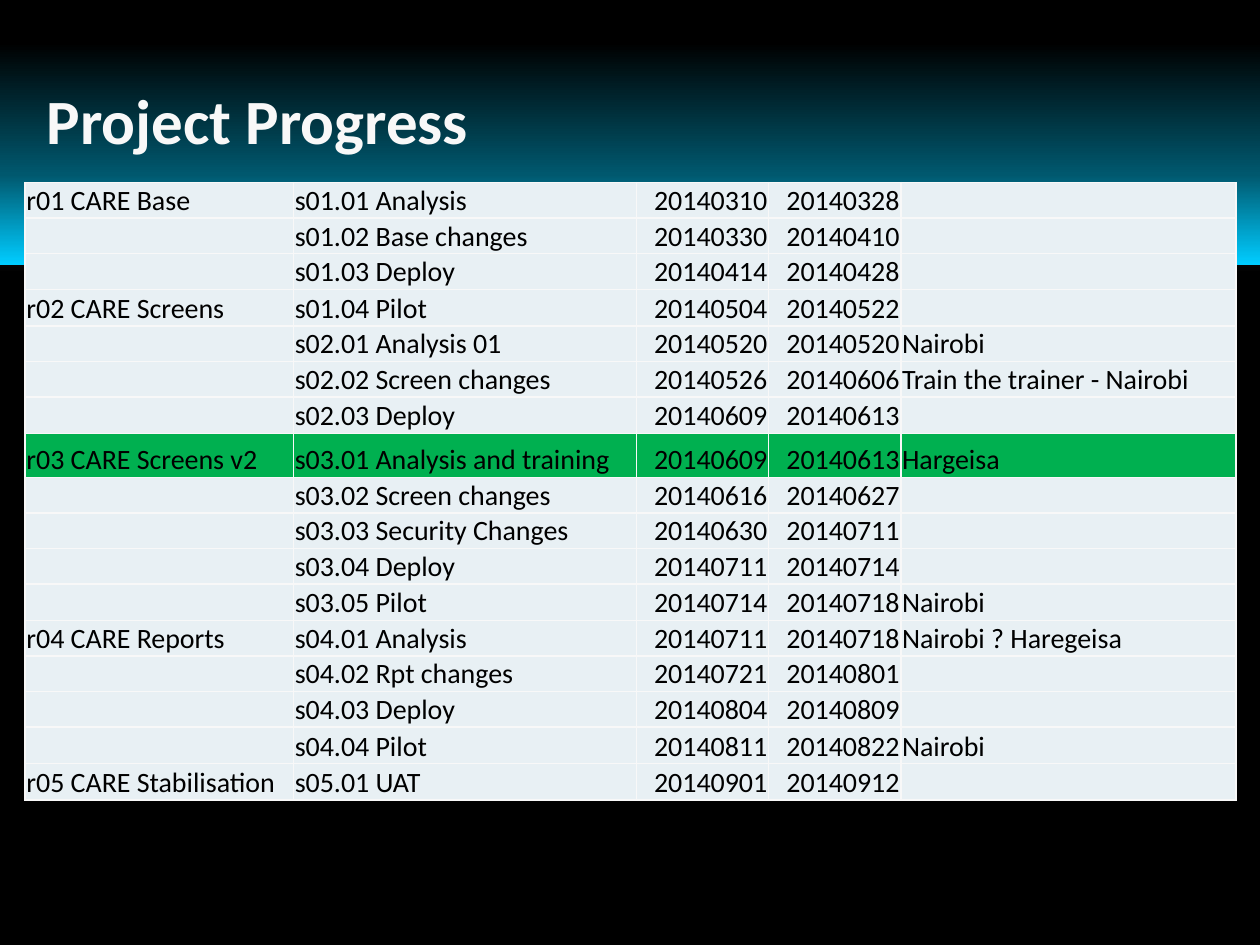
from dataclasses import dataclass

import pptx
import pptx.dml.color
import pptx.enum.shapes
import pptx.enum.text
import pptx.oxml.ns
import pptx.util
from lxml import etree

Inches = pptx.util.Inches
Pt = pptx.util.Pt
RGBColor = pptx.dml.color.RGBColor
Align = pptx.enum.text.PP_ALIGN
Anchor = pptx.enum.text.MSO_ANCHOR
qn = pptx.oxml.ns.qn


@dataclass(frozen=True)
class Theme:
    """Colours, font and type sizes of the slide."""

    font: str = "Calibri"
    light: str = "F8F8F8"
    ink: str = "000000"
    cell: str = "E8F0F4"
    current: str = "00B050"
    title_size: int = 36
    table_size: int = 16
    border_width: int = 1
    background: tuple = ((71, "000000"), (95, "848484"), (98, "AFAFAF"), (100, "DADADA"))
    band: tuple = ((16, "000000"), (66, "00586E"), (100, "00CCFF"))


THEME = Theme()
COLUMN_WIDTHS = (2.13, 2.72, 1.05, 1.05, 2.66)
DATE_COLUMNS = (2, 3)
ROW_HEIGHT, TALL_ROW, CURRENT_ROW = 0.27, 0.29, 0.35
TALL_ROWS = (3, 6, 11, 15, 16)
CURRENT_STEP = "s03.01 Analysis and training"
SCHEDULE = (
    ("r01 CARE Base", "s01.01 Analysis", "20140310", "20140328", ""),
    ("", "s01.02 Base changes", "20140330", "20140410", ""),
    ("", "s01.03 Deploy", "20140414", "20140428", ""),
    ("r02 CARE Screens", "s01.04 Pilot", "20140504", "20140522", ""),
    ("", "s02.01 Analysis 01", "20140520", "20140520", "Nairobi"),
    ("", "s02.02 Screen changes", "20140526", "20140606", "Train the trainer - Nairobi"),
    ("", "s02.03 Deploy", "20140609", "20140613", ""),
    ("r03 CARE Screens v2", CURRENT_STEP, "20140609", "20140613", "Hargeisa"),
    ("", "s03.02 Screen changes", "20140616", "20140627", ""),
    ("", "s03.03 Security Changes", "20140630", "20140711", ""),
    ("", "s03.04 Deploy", "20140711", "20140714", ""),
    ("", "s03.05 Pilot", "20140714", "20140718", "Nairobi"),
    ("r04 CARE Reports", "s04.01 Analysis", "20140711", "20140718", "Nairobi ? Haregeisa"),
    ("", "s04.02 Rpt changes", "20140721", "20140801", ""),
    ("", "s04.03 Deploy", "20140804", "20140809", ""),
    ("", "s04.04 Pilot", "20140811", "20140822", "Nairobi"),
    ("r05 CARE Stabilisation", "s05.01 UAT", "20140901", "20140912", ""),
)


def write_text(frame, text, *, size, color, bold=False, align=Align.LEFT):
    """Write one formatted paragraph, keeping the type size when it is empty."""
    paragraph = frame.paragraphs[0]
    paragraph.alignment = align
    if not text:
        ending = etree.SubElement(paragraph._p, qn("a:endParaRPr"))
        ending.set("sz", str(size * 100))
        return
    run = paragraph.add_run()
    run.text = text
    run.font.name = THEME.font
    run.font.size = Pt(size)
    run.font.bold = bold
    run.font.color.rgb = RGBColor.from_string(color)


def fill_gradient(fill, element, stops, angle):
    """Give the fill inside an element a linear gradient with any number of stops."""
    fill.gradient()
    fill.gradient_angle = angle
    stop_list = element.find(".//" + qn("a:gsLst"))
    for stop in list(stop_list):
        stop_list.remove(stop)
    for position, color in stops:
        stop = etree.SubElement(stop_list, qn("a:gs"), pos=str(position * 1000))
        etree.SubElement(stop, qn("a:srgbClr"), val=color)


def add_band(slide):
    """Add the gradient band behind everything else."""
    band = slide.shapes.add_shape(
        pptx.enum.shapes.MSO_SHAPE.RECTANGLE, 0, 0, Inches(10), Inches(2.1)
    )
    band.shadow.inherit = False
    band.line.fill.background()
    fill_gradient(band.fill, band._element, THEME.band, 270)
    slide.shapes._spTree.insert(2, band._element)


def set_title(slide, text):
    """Place and format the title placeholder."""
    title = slide.shapes.title
    title.left, title.top = Inches(0.27), Inches(0.44)
    title.width, title.height = Inches(9.45), Inches(1.01)
    title.text_frame.vertical_anchor = Anchor.MIDDLE
    write_text(title.text_frame, text, size=THEME.title_size, color=THEME.light, bold=True)


def set_borders(cell):
    """Draw the same thin line on all four sides of a cell."""
    properties = cell._tc.get_or_add_tcPr()
    for side in ("lnL", "lnR", "lnT", "lnB"):
        line = etree.SubElement(properties, qn(f"a:{side}"), w=str(Pt(THEME.border_width)))
        solid = etree.SubElement(line, qn("a:solidFill"))
        etree.SubElement(solid, qn("a:srgbClr"), val=THEME.light)


def format_cell(cell, text, fill, align):
    """Set the borders, fill, margins and text of a cell."""
    set_borders(cell)
    cell.fill.solid()
    cell.fill.fore_color.rgb = RGBColor.from_string(fill)
    cell.margin_left = cell.margin_right = cell.margin_top = Inches(0.01)
    cell.margin_bottom = 0
    cell.vertical_anchor = Anchor.BOTTOM
    write_text(cell.text_frame, text, size=THEME.table_size, color=THEME.ink, align=align)


def add_schedule(slide):
    """Add the schedule table with the current step highlighted."""
    heights = [
        CURRENT_ROW if entry[1] == CURRENT_STEP else TALL_ROW if index in TALL_ROWS else ROW_HEIGHT
        for index, entry in enumerate(SCHEDULE)
    ]
    table = slide.shapes.add_table(
        len(SCHEDULE), len(COLUMN_WIDTHS), Inches(0.2), Inches(1.45),
        Inches(sum(COLUMN_WIDTHS)), Inches(sum(heights)),
    ).table
    table.first_row = table.horz_banding = False
    for column, width in zip(table.columns, COLUMN_WIDTHS):
        column.width = Inches(width)
    for row, height, entry in zip(table.rows, heights, SCHEDULE):
        row.height = Inches(height)
        fill = THEME.current if entry[1] == CURRENT_STEP else THEME.cell
        for index, (cell, text) in enumerate(zip(row.cells, entry)):
            format_cell(cell, text, fill, Align.RIGHT if index in DATE_COLUMNS else Align.LEFT)


def main():
    """Build and save the project progress slide."""
    presentation = pptx.Presentation()
    presentation.slide_width, presentation.slide_height = Inches(10), Inches(7.5)
    slide = presentation.slides.add_slide(presentation.slide_layouts[5])
    fill_gradient(slide.background.fill, slide._element, THEME.background, 90)
    add_band(slide)
    set_title(slide, "Project Progress")
    add_schedule(slide)
    presentation.save("out.pptx")


if __name__ == "__main__":
    main()
